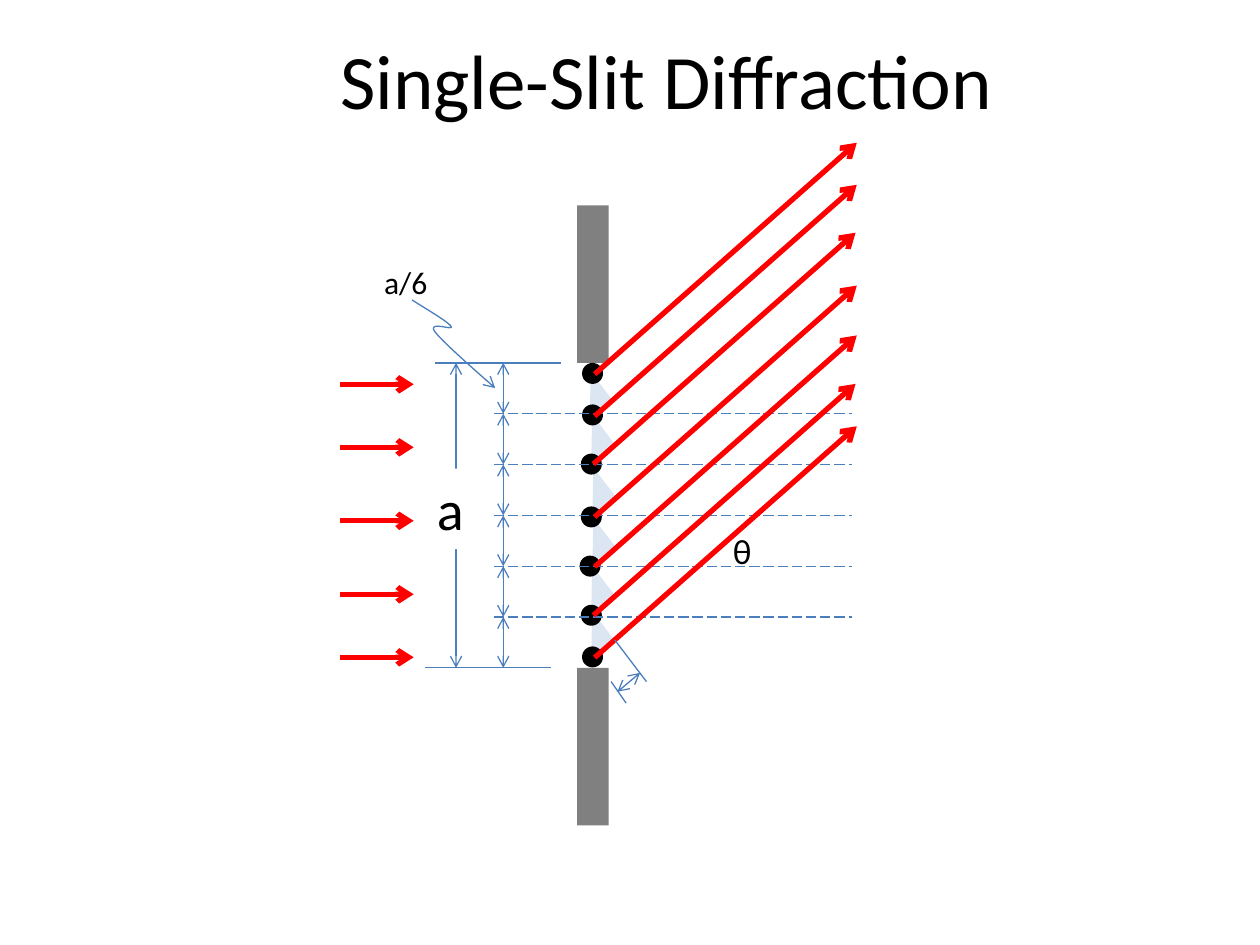
from dataclasses import dataclass
from typing import Optional

from lxml import etree
from pptx import Presentation
from pptx import util as u
from pptx.dml import color
from pptx.enum import dml, shapes, text
from pptx.oxml import ns

BLUE, RED, GRAY = "4B7EBC", "FF0000", "808080"
BLACK, WHITE, PALE = "000000", "FFFFFF", "DCE6F2"

# Slit geometry
SLIT_TOP, SLIT_BOTTOM, PARTS = 207.4, 381.6, 6
STEP = (SLIT_BOTTOM - SLIT_TOP) / PARTS
BARRIER_X, BARRIER_W, BARRIER_H = 329.8, 18, 90
DOT_SIZE = 12
RAY_RUN, RAY_RISE = 149.8, 132.2


@dataclass
class Stroke:
    x1: float
    y1: float
    x2: float
    y2: float
    colour: str = BLUE
    weight: float = 0.75
    head: bool = False
    tail: bool = False
    dashed: bool = False


@dataclass
class Label:
    words: str
    x: float
    y: float
    w: float
    h: float
    size: float
    fill: Optional[str] = None
    wrap: bool = False
    centred: bool = False


@dataclass
class Wavelet:
    """A point source in the slit and the start of its ray."""
    x: float
    y: float
    ray_x: float
    ray_y: float


WAVELETS = [
    Wavelet(332.6, 207.4, 339.8, 213.8),
    Wavelet(332.6, 231.1, 339.8, 237.8),
    Wavelet(331.9, 259.2, 339.1, 265.2),
    Wavelet(331.9, 289.4, 339.8, 295.4),
    Wavelet(331.2, 317.5, 339.8, 323.9),
    Wavelet(331.9, 345.6, 339.1, 351.6),
    Wavelet(332.6, 369.4, 339.8, 375.8),
]
WEDGES = [(329, 215.3), (329.8, 239.8), (330.5, 270),
          (330.5, 298.8), (329.8, 326.2), (329.8, 352.1)]
INCOMING_Y = [219.6, 255.6, 297.6, 339.6, 375.6]
LABELS = [
    Label("a", 242.6, 267.8, 30.2, 46.1, 32, fill=WHITE),
    Label("θ", 411.8, 298.8, 16.6, 31.5, 20, wrap=True),
    Label("a/6", 212.4, 146.9, 39.6, 29.1, 18, fill=WHITE),
]
# Start point, then three points for each curve segment
POINTER = [(235.4, 171.4),
           (245.5, 177.8), (255.6, 183.6), (257.8, 186.5),
           (259.9, 189.4), (244.1, 182.9), (248.4, 189.4),
           (252.7, 195.1), (277.2, 216.7), (283, 221.8)]


def rgb(value: str) -> color.RGBColor:
    return color.RGBColor.from_string(value)


def style_line(shape, colour: str, weight: float, head=False, tail=False) -> None:
    shape.line.color.rgb = rgb(colour)
    shape.line.width = u.Pt(weight)
    for end, shown in (("a:headEnd", head), ("a:tailEnd", tail)):
        if shown:
            etree.SubElement(shape.line._get_or_add_ln(), ns.qn(end), type="arrow")


def draw_stroke(slide, s: Stroke) -> None:
    line = slide.shapes.add_connector(
        shapes.MSO_CONNECTOR.STRAIGHT,
        u.Pt(s.x1), u.Pt(s.y1), u.Pt(s.x2), u.Pt(s.y2))
    if s.dashed:
        line.line.dash_style = dml.MSO_LINE.LONG_DASH
    style_line(line, s.colour, s.weight, s.head, s.tail)
    etree.SubElement(line._element.spPr, ns.qn("a:effectLst"))


def draw_solid(slide, kind, x: float, y: float, w: float, h: float, fill: str):
    solid = slide.shapes.add_shape(kind, u.Pt(x), u.Pt(y), u.Pt(w), u.Pt(h))
    solid.shadow.inherit = False
    solid.fill.solid()
    solid.fill.fore_color.rgb = rgb(fill)
    solid.line.fill.background()
    return solid


def draw_label(slide, label: Label) -> None:
    box = slide.shapes.add_textbox(
        u.Pt(label.x), u.Pt(label.y), u.Pt(label.w), u.Pt(label.h))
    if label.fill:
        box.fill.solid()
        box.fill.fore_color.rgb = rgb(label.fill)
    frame = box.text_frame
    frame.word_wrap = label.wrap
    paragraph = frame.paragraphs[0]
    if label.centred:
        frame.vertical_anchor = text.MSO_ANCHOR.MIDDLE
        paragraph.alignment = text.PP_ALIGN.CENTER
    else:
        frame.auto_size = text.MSO_AUTO_SIZE.SHAPE_TO_FIT_TEXT
    run = paragraph.add_run()
    run.text = label.words
    run.font.name = "Calibri"
    run.font.size = u.Pt(label.size)
    run.font.color.rgb = rgb(BLACK)


def draw_curve(slide, points: list) -> None:
    start, *rest = [(u.Pt(x), u.Pt(y)) for x, y in points]
    builder = slide.shapes.build_freeform(*start)
    builder.add_line_segments(rest, close=False)
    curve = builder.convert_to_shape()
    curve.shadow.inherit = False
    curve.fill.background()
    style_line(curve, BLUE, 0.75, tail=True)
    # Merge every three straight segments into one Bézier segment
    segments = list(curve._element.iter(ns.qn("a:lnTo")))
    for i in range(0, len(segments), 3):
        bezier = etree.SubElement(segments[i].getparent(), ns.qn("a:cubicBezTo"))
        for segment in segments[i:i + 3]:
            bezier.append(segment[0])
            segment.getparent().remove(segment)


def main() -> None:
    prs = Presentation()
    prs.slide_width, prs.slide_height = u.Pt(720), u.Pt(540)
    slide = prs.slides.add_slide(prs.slide_layouts[6])

    # Path-difference wedges
    for x, y in WEDGES:
        wedge = draw_solid(slide, shapes.MSO_SHAPE.RIGHT_TRIANGLE, x, y, 16.6, 20.9, PALE)
        wedge.rotation = 322.6
        wedge._element.spPr.xfrm.set("flipH", "1")

    draw_label(slide, Label("Single-Slit Diffraction", 126, 0, 509.8, 90, 44,
                            wrap=True, centred=True))

    # Barriers above and below the slit
    for y in (SLIT_TOP - BARRIER_H, SLIT_BOTTOM):
        draw_solid(slide, shapes.MSO_SHAPE.RECTANGLE,
                   BARRIER_X, y, BARRIER_W, BARRIER_H, GRAY)

    # Slit width, incoming light and labels
    for x, y in ((248.4, SLIT_TOP), (242.6, SLIT_BOTTOM)):
        draw_stroke(slide, Stroke(x, y, x + 72, y))
    draw_stroke(slide, Stroke(260.6, SLIT_TOP, 260.6, SLIT_BOTTOM, head=True, tail=True))
    for y in INCOMING_Y:
        draw_stroke(slide, Stroke(194.4, y, 236.4, y, RED, 3, tail=True))
    for label in LABELS:
        draw_label(slide, label)
    draw_curve(slide, POINTER)

    # Equal parts of the slit
    for i in range(PARTS):
        y = SLIT_TOP + i * STEP
        draw_stroke(slide, Stroke(287.6, y, 287.6, y + STEP, head=True, tail=True))

    # Point sources, dividing lines and diffracted rays
    for w in WAVELETS:
        draw_solid(slide, shapes.MSO_SHAPE.OVAL, w.x, w.y, DOT_SIZE, DOT_SIZE, BLACK)
    for i in range(1, PARTS):
        y = SLIT_TOP + i * STEP
        draw_stroke(slide, Stroke(282.2, y, 486.7, y, dashed=True))
    for w in WAVELETS:
        draw_stroke(slide, Stroke(w.ray_x, w.ray_y, w.ray_x + RAY_RUN,
                                  w.ray_y - RAY_RISE, RED, 3, tail=True))

    # Path difference of one part
    draw_stroke(slide, Stroke(351.4, 365.8, 369.4, 389.5))
    draw_stroke(slide, Stroke(349.2, 389.5, 357.8, 401.8))
    draw_stroke(slide, Stroke(352.8, 395.3, 365.8, 384.5, head=True, tail=True))

    prs.save("out.pptx")


if __name__ == "__main__":
    main()
